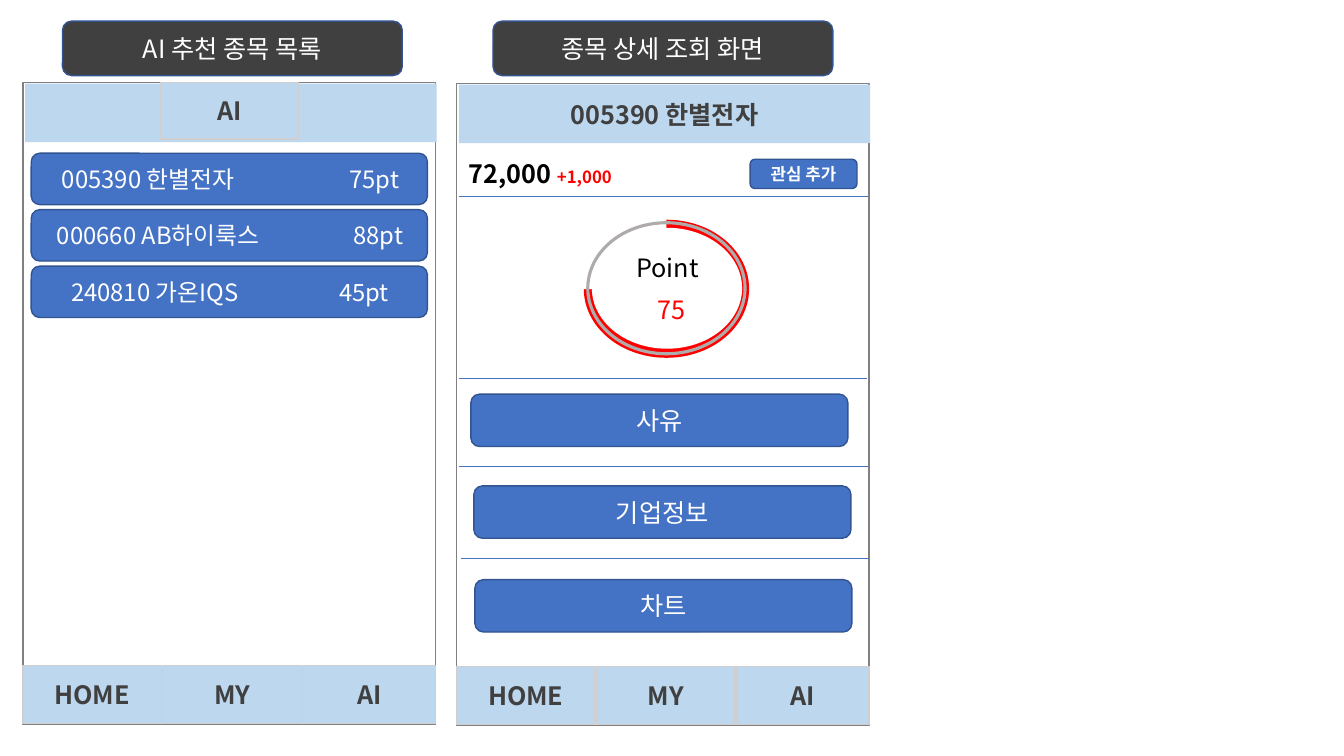
from lxml import etree
from pptx import Presentation, util as u
from pptx.dml.color import RGBColor
from pptx.enum import shapes, text
from pptx.oxml.ns import qn

# Content
FONT = "Noto Sans CJK KR"
BLUE, EDGE, BAR, RULE, DARK = "4472C4", "325491", "BDD7EE", "D0CECE", "404040"
WHITE, BLACK, RED, GRAY = "FFFFFF", "000000", "FF0000", "AFABAB"
HEADS = [(0.62, "AI 추천 종목 목록"), (4.89, "종목 상세 조회 화면")]
TABS = [("HOME", 1.37), ("MY", 1.37), ("AI", 1.31)]
# name, points, left edge of the name, left edge of the points
STOCKS = [("005390 한별전자", "75pt", 0.62, 3.47),
          ("000660 AB하이룩스", "88pt", 0.57, 3.51),
          ("240810 가온IQS", "45pt", 0.71, 3.37)]
MENU = [("사유", 4.67, 3.91), ("기업정보", 4.7, 4.82), ("차트", 4.71, 5.75)]
LINES = [(4.55, 8.61, 1.95), (4.55, 8.6, 3.75),
         (4.55, 8.61, 4.63), (4.57, 8.62, 5.54)]
LIST, INFO = (0.23, 0.82), (4.53, 0.83)  # corners of the two phone screens

deck = Presentation()
deck.slide_width, deck.slide_height = u.Inches(13.33), u.Inches(7.5)
page = deck.slides.add_slide(deck.slide_layouts[6]).shapes
KIND = shapes.MSO_SHAPE
RECT, ROUND, OVAL = KIND.RECTANGLE, KIND.ROUNDED_RECTANGLE, KIND.OVAL


def color(code):
    return RGBColor.from_string(code)


def write(item, runs, align=text.PP_ALIGN.CENTER):
    """Fill one paragraph with (words, size, colour, bold) runs."""
    item.text_frame.word_wrap = True
    para = item.text_frame.paragraphs[0]
    para.alignment = align
    for words, size, tint, bold in runs:
        run = para.add_run()
        run.text = words
        font = run.font
        font.size, font.bold, font.name = u.Pt(size), bold, FONT
        font.color.rgb = color(tint)
        etree.SubElement(run._r.rPr, qn("a:ea"), typeface=FONT)
    return para


def draw(kind, x, y, w, h, fill=None, line=None, width=1):
    item = page.add_shape(kind, *map(u.Inches, (x, y, w, h)))
    item.shadow.inherit = False
    item.text_frame.vertical_anchor = text.MSO_ANCHOR.MIDDLE
    if fill:
        item.fill.solid()
        item.fill.fore_color.rgb = color(fill)
    else:
        item.fill.background()
    if line:
        item.line.color.rgb = color(line)
        item.line.width = u.Pt(width)
    else:
        item.line.fill.background()
    return item


def label(x, y, w, runs, align=text.PP_ALIGN.CENTER):
    box = page.add_textbox(*map(u.Inches, (x, y, w, 0.4)))
    write(box, runs, align)


def button(x, y, w, h, words, size=18, bold=False, fill=BLUE):
    write(draw(ROUND, x, y, w, h, fill, EDGE), [(words, size, WHITE, bold)])


def screen(x, y):
    """Phone frame with its bottom tabs and top bar."""
    draw(RECT, x, y, 4.09, 6.37, line="808080")
    draw(RECT, x + 0.02, y + 5.78, 4.05, 0.58, BAR)
    for i, (name, w) in enumerate(TABS):
        tab = draw(RECT, x + 1.39 * i, y + 5.78, w, 0.58, BAR, RULE)
        write(tab, [(name, 18, DARK, True)])
    return draw(RECT, x + 0.02, y + 0.01, 4.08, 0.58, BAR)


# Screen titles
for x, name in HEADS:
    button(x, 0.21, 3.37, 0.54, name, fill=DARK)

# Detail screen: price row
write(screen(*INFO), [("005390 한별전자", 18, DARK, True)])
label(4.55, 1.52, 2.11, [("72,000 ", 18, BLACK, True),
                         ("+1,000", 12, RED, True)], text.PP_ALIGN.LEFT)
button(7.44, 1.58, 1.06, 0.29, "관심 추가", 12, True)

# Score ring, its first quarter hidden
draw(OVAL, 5.79, 2.18, 1.64, 1.37, RED)
draw(OVAL, 5.87, 2.26, 1.49, 1.2, WHITE)
draw(RECT, 5.39, 2.03, 1.22, 0.84, WHITE)
draw(OVAL, 5.83, 2.21, 1.56, 1.3, line=GRAY, width=2.25)
label(6.15, 2.45, 0.94, [("Point", 18, BLACK, False)])
label(6.3, 2.87, 0.72, [("75", 18, RED, False)])

# Dividers and menu
for x, end, y in LINES:
    rule = page.add_connector(shapes.MSO_CONNECTOR.STRAIGHT,
                              *map(u.Inches, (x, y, end, y)))
    rule.line.color.rgb = color(BLUE)
    rule.line.width = u.Pt(0.5)
    etree.SubElement(rule._element.spPr, qn("a:effectLst"))
for name, x, y in MENU:
    button(x, y, 3.74, 0.52, name)

# List screen: stocks, points set at a tab stop
screen(*LIST)
top = draw(RECT, 1.59, 0.82, 1.37, 0.56, BAR, RULE)
write(top, [("AI", 18, DARK, True)])
for i, (name, score, left, stop) in enumerate(STOCKS):
    row = draw(ROUND, 0.31, 1.52 + 0.56 * i, 3.93, 0.51, BLUE, EDGE)
    row.text_frame.margin_left = u.Inches(left - 0.34)
    para = write(row, [(f"{name}\t{score}", 17, WHITE, False)],
                 text.PP_ALIGN.LEFT)
    tabs = etree.SubElement(para._p.get_or_add_pPr(), qn("a:tabLst"))
    etree.SubElement(tabs, qn("a:tab"), pos=str(u.Inches(stop - left)),
                     algn="l")

deck.save("out.pptx")
